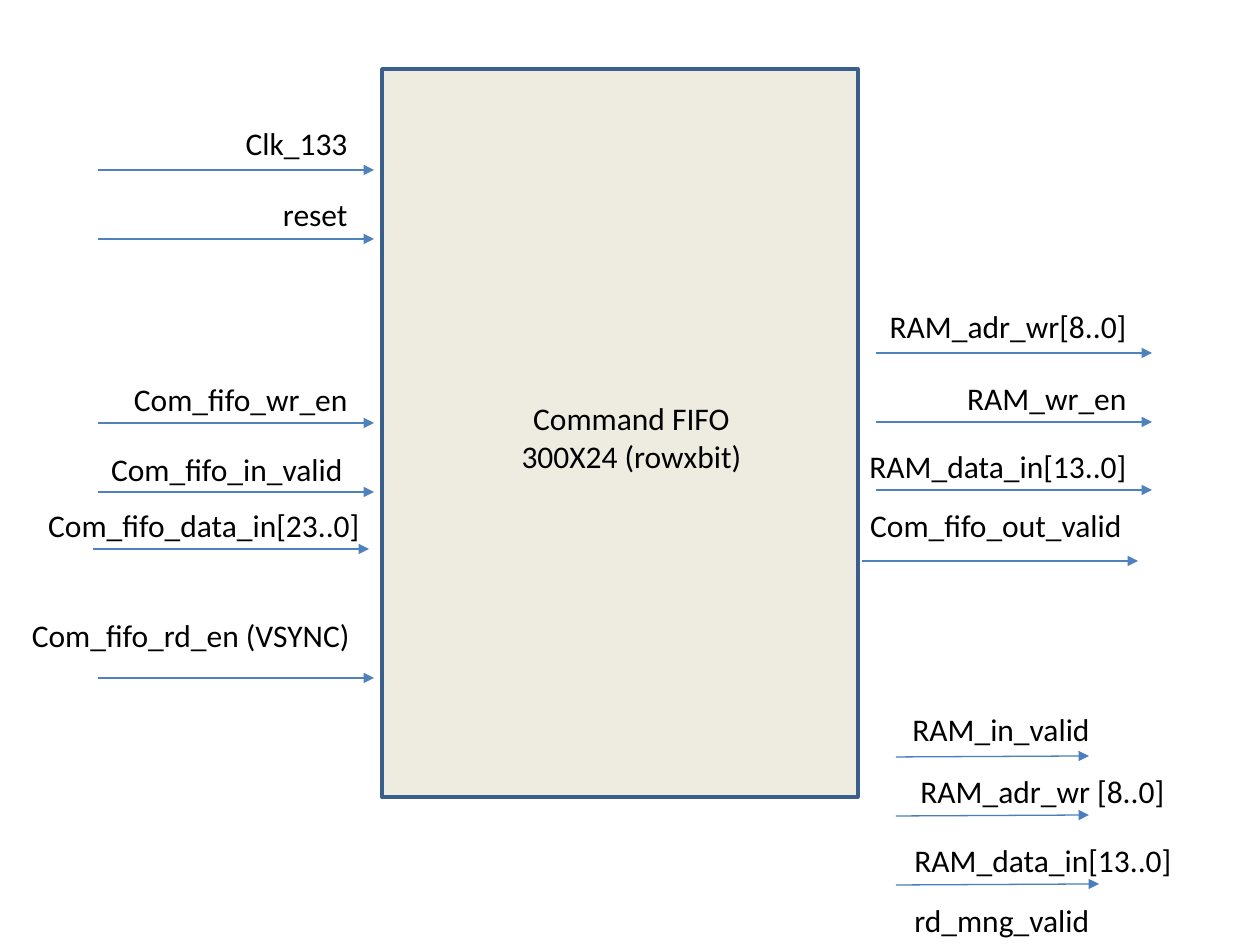
from dataclasses import dataclass

from lxml import etree
from pptx import Presentation
from pptx.dml.color import RGBColor
from pptx.enum.shapes import MSO_CONNECTOR, MSO_SHAPE
from pptx.enum.text import PP_ALIGN
from pptx.oxml.ns import qn
from pptx.util import Emu, Pt

RECTANGLE = MSO_SHAPE.RECTANGLE
STRAIGHT = MSO_CONNECTOR.STRAIGHT
LEFT, CENTER, RIGHT = PP_ALIGN.LEFT, PP_ALIGN.CENTER, PP_ALIGN.RIGHT

PX = 914400 // 126
FONT = "Calibri"
COLORS = {
    "block": "EEECE1",
    "border": "3A5F8C",
    "port": "4F81BD",
    "ram": "4B7EBC",
    "text": "000000",
}


@dataclass(frozen=True)
class Label:
    text: str
    left: int
    top: int
    width: int
    align: PP_ALIGN = RIGHT
    height: int = 50


@dataclass(frozen=True)
class Arrow:
    left: int
    y: int
    length: int = 276
    color: str = "port"
    rise: int = 0


LABELS = [
    # Block name
    Label("Command FIFO\n300X24 (rowxbit)", 493, 393, 277, CENTER, 89),
    # Inputs
    Label("Clk_133", 83, 118, 277),
    Label("reset", 83, 189, 277),
    Label("Com_fifo_wr_en", 83, 374, 277),
    Label("Com_fifo_in_valid", 78, 444, 277),
    Label("Com_fifo_data_in[23..0]", 20, 500, 352),
    Label("Com_fifo_rd_en (VSYNC)", 0, 610, 362),
    # Outputs
    Label("RAM_adr_wr[8..0]", 862, 301, 277),
    Label("RAM_wr_en", 862, 373, 277),
    Label("RAM_data_in[13..0]", 847, 441, 292),
    Label("Com_fifo_out_valid", 857, 500, 277),
    # RAM signals
    Label("RAM_in_valid", 900, 704, 228, LEFT),
    Label("RAM_adr_wr [8..0]", 908, 766, 285, LEFT),
    Label("RAM_data_in[13..0]", 902, 835, 297, LEFT),
    Label("rd_mng_valid", 902, 895, 228, LEFT),
]

ARROWS = [
    *(Arrow(98, y) for y in (170, 239, 423, 492, 678)),
    Arrow(93, 549),
    *(Arrow(876, y) for y in (353, 422, 490)),
    Arrow(862, 561),
    Arrow(896, 757, 193, "ram", 1),
    Arrow(896, 816, 193, "ram", 1),
    Arrow(896, 885, 203, "ram", 1),
]


def px(value: int) -> Emu:
    return Emu(value * PX)


def rgb(name: str) -> RGBColor:
    return RGBColor.from_string(COLORS[name])


def add_block(slide, left: int, top: int, width: int, height: int) -> None:
    block = slide.shapes.add_shape(RECTANGLE, px(left), px(top), px(width), px(height))
    block.shadow.inherit = False
    block.fill.solid()
    block.fill.fore_color.rgb = rgb("block")
    block.line.color.rgb = rgb("border")
    block.line.width = Pt(2)


def add_label(slide, label: Label) -> None:
    box = slide.shapes.add_textbox(
        px(label.left), px(label.top), px(label.width), px(label.height))
    frame = box.text_frame
    frame.word_wrap = True
    for index, line in enumerate(label.text.split("\n")):
        paragraph = frame.add_paragraph() if index else frame.paragraphs[0]
        paragraph.alignment = label.align
        run = paragraph.add_run()
        run.text = line
        run.font.name = FONT
        run.font.size = Pt(18)
        run.font.color.rgb = rgb("text")


def add_arrow(slide, arrow: Arrow) -> None:
    connector = slide.shapes.add_connector(
        STRAIGHT, px(arrow.left), px(arrow.y),
        px(arrow.left + arrow.length), px(arrow.y - arrow.rise))
    connector.line.color.rgb = rgb(arrow.color)
    connector.line.width = Pt(0.75)
    outline = connector.line._get_or_add_ln()
    etree.SubElement(outline, qn("a:tailEnd"), type="triangle")
    etree.SubElement(connector._element.spPr, qn("a:effectLst"))


def main() -> None:
    presentation = Presentation()
    presentation.slide_width = px(1260)
    presentation.slide_height = px(945)
    slide = presentation.slides.add_slide(presentation.slide_layouts[6])

    # FIFO block
    add_block(slide, 382, 69, 476, 728)

    # Signals
    for label in LABELS:
        add_label(slide, label)
    for arrow in ARROWS:
        add_arrow(slide, arrow)

    presentation.save("out.pptx")


main()
